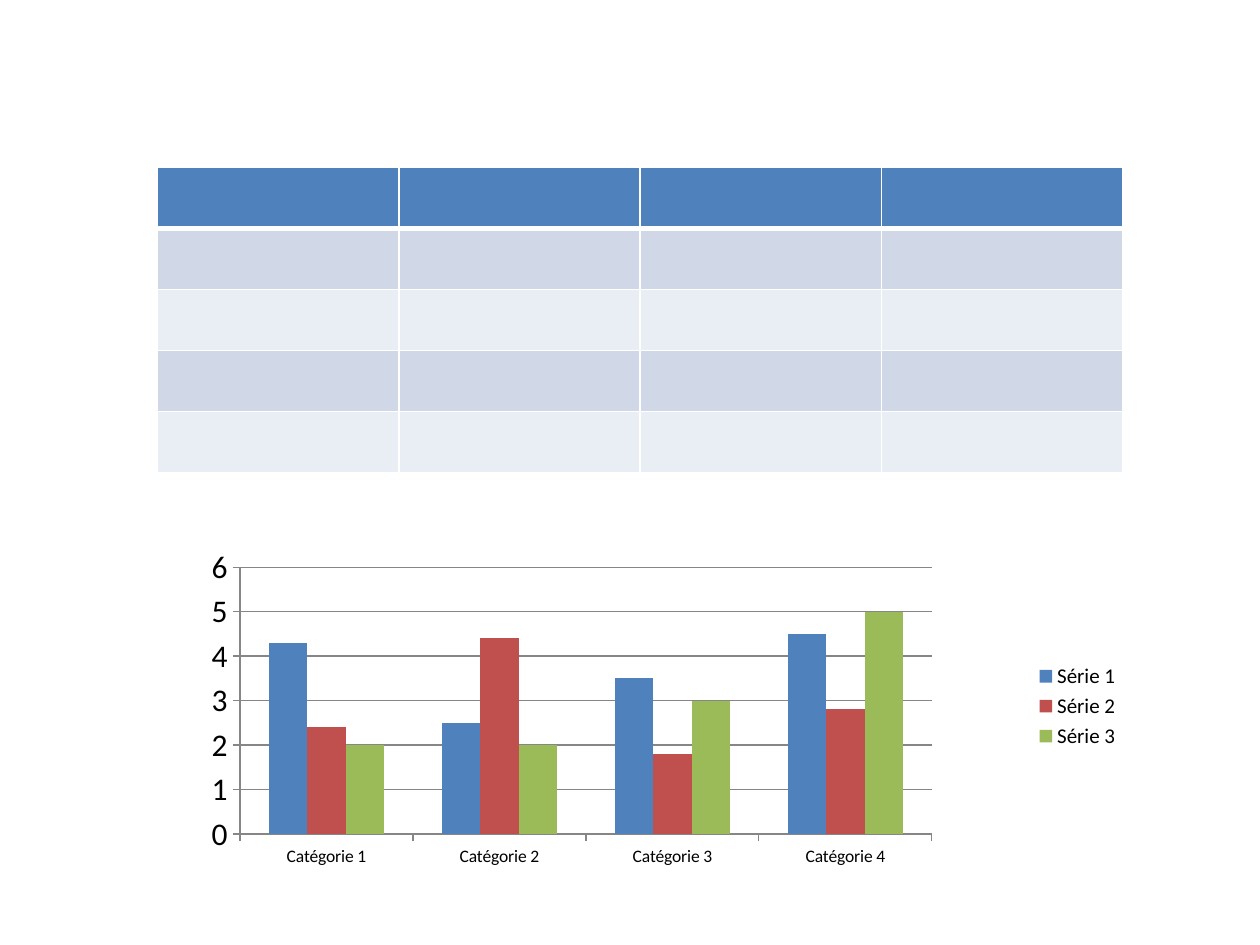
from lxml import etree
from pptx import Presentation
from pptx import util as u
from pptx.chart import data as chart_data
from pptx.dml.color import RGBColor
from pptx.enum import chart as kinds
from pptx.oxml import parse_xml
from pptx.oxml.ns import nsdecls, qn


def color(value):
    """Turn a hex string into a colour."""
    return RGBColor.from_string(value)


def style_font(font, size, ink="000000", name="Calibri"):
    """Format a font."""
    font.name, font.size = name, u.Pt(size)
    font.color.rgb = color(ink)


class SlideBuilder:
    """Holds the style and the current slide."""

    HEADER = "4F81BD"
    BANDS = ("D0D8E8", "E9EDF4")
    SERIES = (HEADER, "C0504D", "9BBB59")
    GRID = "868686"
    BORDER = "FFFFFF"

    def __init__(self, slide):
        """Keep the slide to draw on."""
        self.slide = slide

    def borders(self, cell, **widths):
        """Draw cell borders, with widths in points keyed by side."""
        properties = cell._tc.get_or_add_tcPr()
        for index, side in enumerate("LRTB"):
            properties.insert(index, parse_xml(
                f'<a:ln{side} {nsdecls("a")} w="{u.Pt(widths.get(side, 1))}">'
                f'<a:solidFill><a:srgbClr val="{self.BORDER}"/></a:solidFill>'
                f'</a:ln{side}>'))

    def table(self, left, top, width, height, rows, columns):
        """Add an empty banded table with a header row."""
        grid = self.slide.shapes.add_table(
            rows, columns, *map(u.Inches, (left, top, width, height))).table
        for r in range(rows):
            for c in range(columns):
                cell = grid.cell(r, c)
                cell.fill.solid()
                cell.fill.fore_color.rgb = color(
                    self.BANDS[(r - 1) % 2] if r else self.HEADER)
                self.borders(cell, T=3 if r == 1 else 1, B=1 if r else 3)

    def plot_area(self, chart, **layout):
        """Place the inner plot area by fractions of the chart."""
        area = chart._chartSpace.chart.plotArea
        for old in area.findall(qn("c:layout")):
            area.remove(old)
        holder = etree.Element(qn("c:layout"))
        manual = etree.SubElement(holder, qn("c:manualLayout"))
        settings = dict(layoutTarget="inner", xMode="edge", yMode="edge", **layout)
        for tag, value in settings.items():
            etree.SubElement(manual, qn(f"c:{tag}")).set("val", str(value))
        area.insert(0, holder)

    def column_chart(self, left, top, width, height, categories, series):
        """Add a clustered column chart with a legend on the right."""
        values = chart_data.CategoryChartData()
        values.categories = categories
        for name, numbers in series.items():
            values.add_series(name, numbers)
        chart = self.slide.shapes.add_chart(
            kinds.XL_CHART_TYPE.COLUMN_CLUSTERED,
            *map(u.Inches, (left, top, width, height)), values).chart
        chart.has_title = False
        style_font(chart.font, 18)
        chart.has_legend = True
        chart.legend.position = kinds.XL_LEGEND_POSITION.RIGHT
        chart.legend.include_in_layout = False
        style_font(chart.legend.font, 12)

        plot = chart.plots[0]
        plot.vary_by_categories = False
        plot.gap_width, plot.overlap = 150, 0
        for column, fill in zip(plot.series, self.SERIES):
            column.format.fill.solid()
            column.format.fill.fore_color.rgb = color(fill)

        scale = chart.value_axis
        scale.minimum_scale, scale.maximum_scale, scale.major_unit = 0, 6, 1
        scale.has_major_gridlines = True
        for axis, size in ((chart.category_axis, 10), (scale, 18)):
            axis.major_tick_mark = kinds.XL_TICK_MARK.OUTSIDE
            style_font(axis.tick_labels.font, size)
        for part in (chart.category_axis, scale, scale.major_gridlines):
            part.format.line.color.rgb = color(self.GRID)
            part.format.line.width = u.Pt(0.75)
        self.plot_area(chart, x=0.075, y=0.102, w=0.717, h=0.764)


deck = Presentation()
deck.slide_width, deck.slide_height = u.Inches(10), u.Inches(7.5)
builder = SlideBuilder(deck.slides.add_slide(deck.slide_layouts[6]))
builder.table(1.25, 1.33, 7.66, 2.42, rows=5, columns=4)
builder.column_chart(
    1.33, 4.22, 7.66, 2.77,
    categories=[f"Catégorie {n}" for n in range(1, 5)],
    series={
        "Série 1": (4.3, 2.5, 3.5, 4.5),
        "Série 2": (2.4, 4.4, 1.8, 2.8),
        "Série 3": (2, 2, 3, 5),
    })
deck.save("out.pptx")
